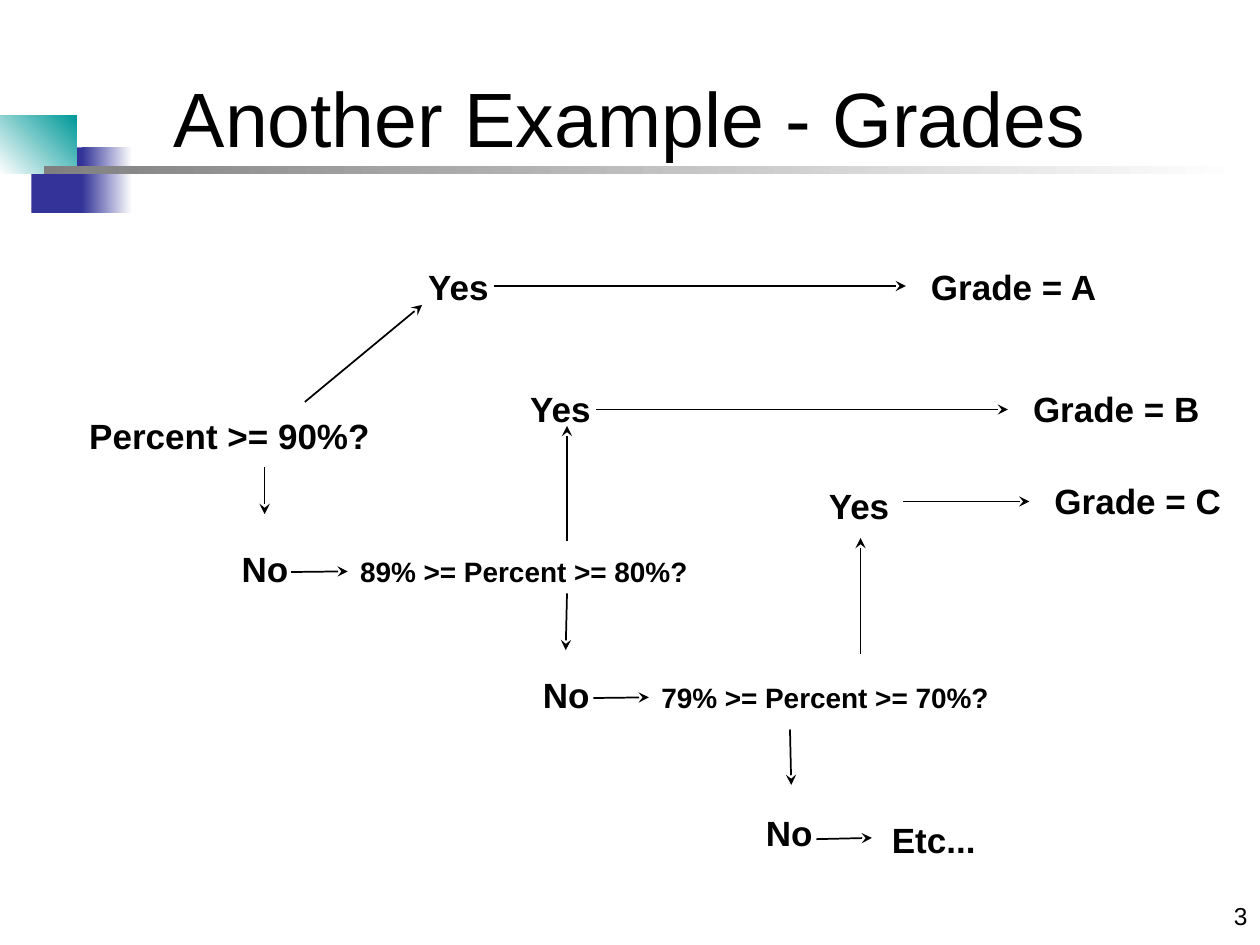
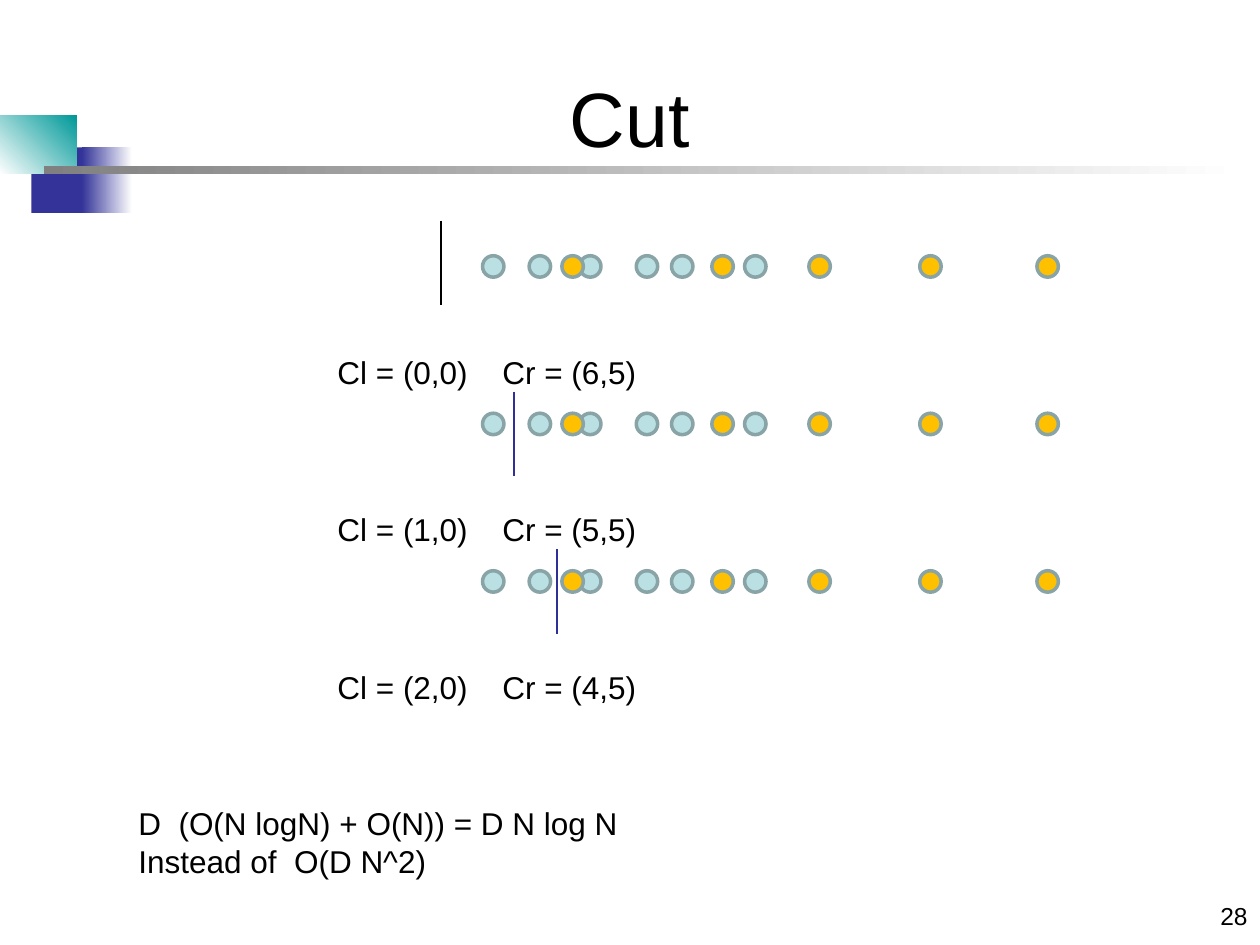
from lxml import etree
from pptx import Presentation
from pptx.dml.color import RGBColor
from pptx.enum.shapes import MSO_CONNECTOR, MSO_SHAPE
from pptx.enum.text import MSO_ANCHOR, MSO_AUTO_SIZE, PP_ALIGN
from pptx.oxml.ns import qn
from pptx.util import Inches, Pt

RECT, OVAL = MSO_SHAPE.RECTANGLE, MSO_SHAPE.OVAL
STRAIGHT = MSO_CONNECTOR.STRAIGHT
LEFT, CENTER, RIGHT = PP_ALIGN.LEFT, PP_ALIGN.CENTER, PP_ALIGN.RIGHT
MIDDLE = MSO_ANCHOR.MIDDLE
FIT = MSO_AUTO_SIZE.SHAPE_TO_FIT_TEXT

BLACK = RGBColor(0x00, 0x00, 0x00)
WHITE = RGBColor(0xFF, 0xFF, 0xFF)
GRAY = RGBColor(0x80, 0x80, 0x80)
NAVY = RGBColor(0x33, 0x33, 0x99)
TEAL = RGBColor(0x00, 0x99, 0x99)
INK = RGBColor(0x2F, 0x2F, 0x98)
PALE = RGBColor(0xBB, 0xE0, 0xE3)
GOLD = RGBColor(0xFF, 0xC0, 0x00)
RIM = RGBColor(0x89, 0xA4, 0xA7)
FONT = "Arial"

HEIGHT = {20: 0.43, 16: 0.37}
LABELS = [
    ("Percent >= 90%?", 0.01, 1.24, 2.43, 20),
    ("Yes", 2.7, 0.06, 0.7, 20),
    ("Grade = A", 6.69, 0.06, 1.52, 20),
    ("No", 1.22, 2.3, 0.57, 20),
    ("89% >= Percent >= 80%?", 2.16, 2.35, 2.8, 16),
    ("Yes", 3.51, 1.03, 0.7, 20),
    ("Grade = B", 7.5, 1.03, 1.52, 20),
    ("No", 3.61, 3.3, 0.57, 20),
    ("79% >= Percent >= 70%?", 4.55, 3.35, 2.8, 16),
    ("Yes", 5.88, 1.8, 0.7, 20),
    ("Grade = C", 7.67, 1.76, 1.52, 20),
    ("No", 5.38, 4.39, 0.57, 20),
    ("Etc...", 6.38, 4.45, 0.87, 20),
]
ARROWS = [
    (1.82, 1.19, 2.75, 0.42),
    (3.32, 0.27, 6.59, 0.27),
    (1.5, 1.71, 1.5, 2.08),
    (3.9, 2.29, 3.9, 1.38),
    (4.13, 1.25, 7.4, 1.25),
    (3.9, 2.71, 3.89, 3.16),
    (6.23, 3.19, 6.23, 2.27),
    (6.57, 1.98, 7.57, 1.98),
    (5.67, 3.79, 5.68, 4.23),
    (5.88, 4.66, 6.32, 4.65),
]
JOINED = [
    (1.71, 2.54, 2.16, 2.54, "89% >= Percent >= 80%?"),
    (4.11, 3.54, 4.55, 3.54, "79% >= Percent >= 70%?"),
]
DOTS = [(x, PALE) for x in (1.25, 1.62, 2.02, 2.47, 2.75, 3.33)]
DOTS += [(x, GOLD) for x in (3.84, 1.88, 3.07, 4.72, 5.65)]
CUTS = [
    (0.92, 0, BLACK, "Cl = (0,0)", "Cr = (6,5)"),
    (1.5, 0.11, INK, "Cl = (1,0)", "Cr = (5,5)"),
    (1.84, 0.11, INK, "Cl = (2,0)", "Cr = (4,5)"),
]


def add_text(slide, box, lines, size, bold=False, align=LEFT, wrap=True, tab=None):
    """Add a text box with one paragraph for each line."""
    shape = slide.shapes.add_textbox(*map(Inches, box))
    frame = shape.text_frame
    frame.word_wrap = wrap
    frame.auto_size = FIT
    for i, line in enumerate(lines):
        para = frame.add_paragraph() if i else frame.paragraphs[0]
        para.alignment = align
        if tab:
            tabs = etree.SubElement(para._p.get_or_add_pPr(), qn("a:tabLst"))
            etree.SubElement(tabs, qn("a:tab"), pos=str(Inches(tab)), algn="l")
        run = para.add_run()
        run.text = line
        font = run.font
        font.name, font.size, font.bold = FONT, Pt(size), bold
        font.color.rgb = BLACK
    return shape


def add_shape(slide, kind, box, color, fade=None, angle=0, rim=None):
    """Add a filled shape, faded to a second colour or rimmed on request."""
    shape = slide.shapes.add_shape(kind, *map(Inches, box))
    shape.shadow.inherit = False
    if fade is None:
        shape.fill.solid()
        shape.fill.fore_color.rgb = color
    else:
        shape.fill.gradient()
        shape.fill.gradient_angle = angle
        for stop, tone in zip(shape.fill.gradient_stops, (color, fade)):
            stop.color.rgb = tone
    if rim is None:
        shape.line.fill.background()
    else:
        shape.line.color.rgb = rim
        shape.line.width = Pt(2)


def add_line(slide, ends, color, width, arrow=False, goal=None):
    """Add a straight line, with an arrowhead or a joined end on request."""
    line = slide.shapes.add_connector(STRAIGHT, *map(Inches, ends))
    line.line.color.rgb = color
    line.line.width = Pt(width)
    if arrow:
        etree.SubElement(line.line._get_or_add_ln(), qn("a:tailEnd"), type="stealth")
    etree.SubElement(line._element.spPr, qn("a:effectLst"))
    if goal is not None:
        line.end_connect(goal, 1)


def add_base(deck, title, number):
    """Add a slide with the shared band, title and page number."""
    slide = deck.slides.add_slide(deck.slide_layouts[6])
    add_text(slide, (9, 7.1, 1, 0.33), [number], 14, align=RIGHT)
    add_shape(slide, RECT, (0.25, 1.17, 0.46, 0.52), NAVY)
    add_shape(slide, RECT, (0.65, 1.17, 0.4, 0.52), NAVY, WHITE)
    add_shape(slide, RECT, (0, 0.92, 0.61, 0.46), WHITE, TEAL, 45)
    add_shape(slide, RECT, (0.35, 1.32, 9.51, 0.06), GRAY, WHITE)
    head = add_text(slide, (0.5, 0.3, 9, 1.25), [title], 44, align=CENTER)
    head.text_frame.auto_size = MSO_AUTO_SIZE.NONE
    head.text_frame.vertical_anchor = MIDDLE
    return slide


def add_tree(slide, left, top):
    """Draw the grade decisions from the given corner."""
    boxes = {}
    for text, x, y, width, size in LABELS:
        box = (left + x, top + y, width, HEIGHT[size])
        boxes[text] = add_text(slide, box, [text], size, bold=True, wrap=False)
    for x1, y1, x2, y2, *goal in ARROWS + JOINED:
        ends = (left + x1, top + y1, left + x2, top + y2)
        add_line(slide, ends, BLACK, 1, True, boxes[goal[0]] if goal else None)


def add_row(slide, left, top, cut, drop, color, first, second):
    """Draw one row of dots with its cut line and counts."""
    for x, tone in DOTS:
        add_shape(slide, OVAL, (left + x, top + 0.28, 0.17, 0.17), tone, rim=RIM)
    start = top + drop
    add_line(slide, (left + cut, start, left + cut, start + 0.67), color, 0.75)
    add_text(slide, (left, top + 1, 6, 0.4), [f"{first}\t{second}"], 18, tab=1.31)


def main():
    """Build both slides and save them."""
    deck = Presentation()
    deck.slide_width, deck.slide_height = Inches(10), Inches(7.5)
    add_tree(add_base(deck, "Another Example - Grades", "3"), 0.6, 2)
    slide = add_base(deck, "Cut", "28")
    for i, cut in enumerate(CUTS):
        add_row(slide, 2.58, 1.75 + 1.25 * i, *cut)
    cost = ["D  (O(N logN) + O(N)) = D N log N", "Instead of  O(D N^2)"]
    add_text(slide, (1, 6.33, 7.67, 0.7), cost, 18)
    deck.save("out.pptx")


if __name__ == "__main__":
    main()
